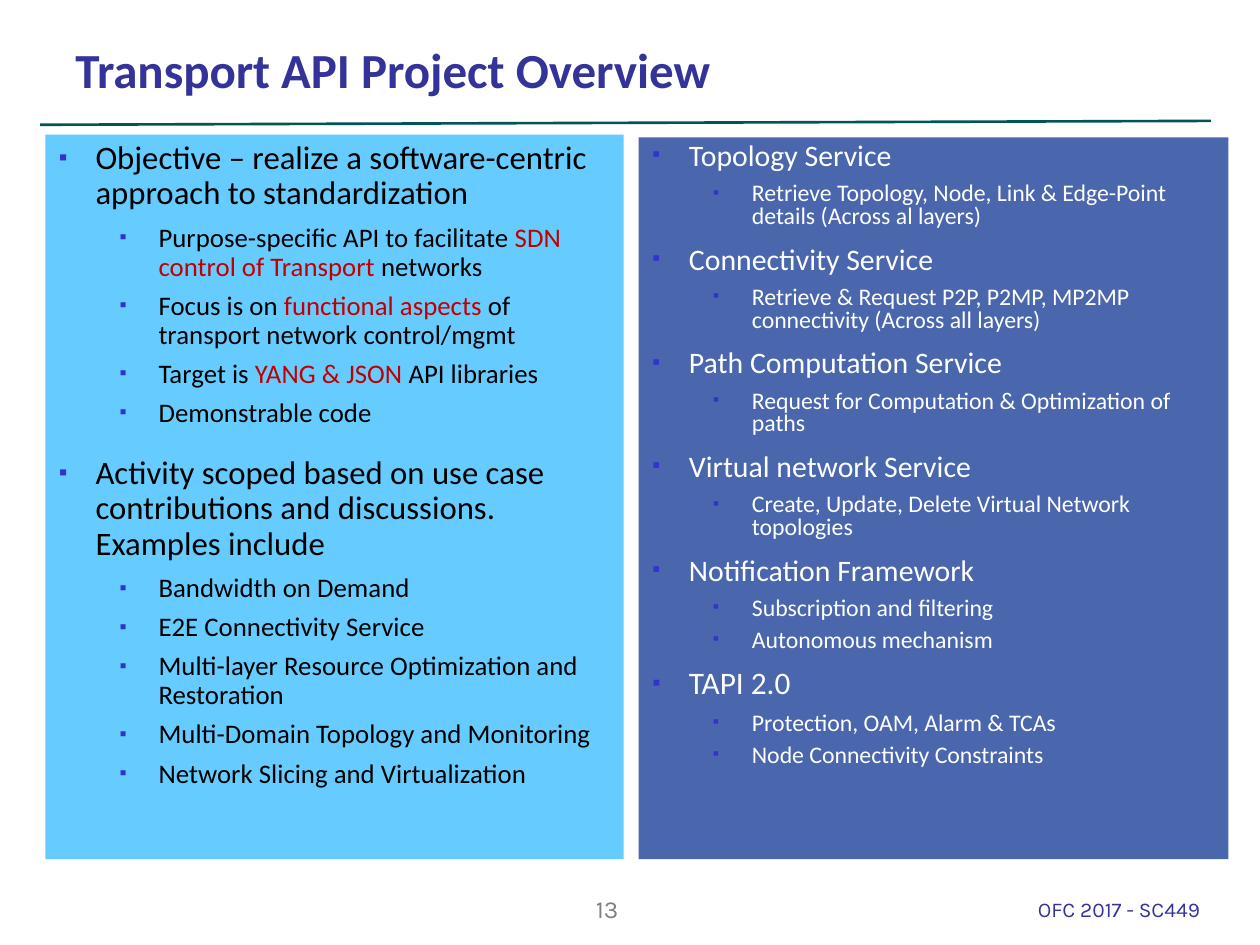
from lxml.etree import SubElement
from pptx import Presentation
from pptx.dml.color import RGBColor
from pptx.enum.shapes import MSO_CONNECTOR, MSO_SHAPE
from pptx.enum.text import MSO_ANCHOR, PP_ALIGN
from pptx.oxml.ns import qn
from pptx.util import Pt

NAVY, RED, BLACK, WHITE = "333399", "C00000", "000000", "FFFFFF"

# Each topic: heading, heading size, items. An item is text or (text, colour) runs.
OBJECTIVES = [
    ("Objective – realize a software-centric approach to standardization", 18.7, [
        [("Purpose-specific API to facilitate ", BLACK),
         ("SDN control of Transport ", RED), ("networks", BLACK)],
        [("Focus is on ", BLACK), ("functional aspects ", RED),
         ("of transport network control/mgmt", BLACK)],
        [("Target is ", BLACK), ("YANG & JSON ", RED), ("API libraries", BLACK)],
        "Demonstrable code",
    ]),
    ("Activity scoped based on use case contributions and discussions. Examples include", 18.7, [
        "Bandwidth on Demand",
        "E2E Connectivity Service",
        "Multi-layer Resource Optimization and Restoration",
        "Multi-Domain Topology and Monitoring",
        "Network Slicing and Virtualization",
    ]),
]
SERVICES = [
    ("Topology Service", 17, [
        "Retrieve Topology, Node, Link & Edge-Point details (Across al layers)"]),
    ("Connectivity Service", 17, [
        "Retrieve & Request P2P, P2MP, MP2MP connectivity (Across all layers)"]),
    ("Path Computation Service", 17, [
        "Request for Computation & Optimization of paths"]),
    ("Virtual network Service", 17, [
        "Create, Update, Delete Virtual Network topologies"]),
    ("Notification Framework", 17, [
        "Subscription and filtering", "Autonomous mechanism"]),
    ("TAPI 2.0", 17.9, [
        "Protection, OAM, Alarm & TCAs", "Node Connectivity Constraints"]),
]


def colour(value):
    return RGBColor.from_string(value)


def write(paragraph, text, *, size, color, font="Calibri", bold=False):
    run = paragraph.add_run()
    run.text = text
    run.font.name = font
    run.font.size = Pt(size)
    run.font.bold = bold
    run.font.color.rgb = colour(color)


def add_bullet(paragraph, level):
    """Give the paragraph a small square bullet and the indent of its level."""
    paragraph.level = level
    margin, indent = [(21.6, -20.9), (57.6, -22.3)][level]
    properties = paragraph._p.get_or_add_pPr()
    properties.set("marL", str(Pt(margin)))
    properties.set("indent", str(Pt(indent)))
    bullet_colour = SubElement(properties, qn("a:buClr"))
    SubElement(bullet_colour, qn("a:srgbClr"), val="3333CC")
    SubElement(properties, qn("a:buSzPct"), val="75000")
    SubElement(properties, qn("a:buFont"), typeface="Arial")
    SubElement(properties, qn("a:buChar"), char="▪")


class SlideBuilder:
    def __init__(self, presentation):
        self.slide = presentation.slides.add_slide(presentation.slide_layouts[6])

    def rule(self, start, end, color, width):
        points = [Pt(value) for value in (*start, *end)]
        line = self.slide.shapes.add_connector(MSO_CONNECTOR.STRAIGHT, *points)
        line.line.color.rgb = colour(color)
        line.line.width = Pt(width)
        SubElement(line._element.spPr, qn("a:effectLst"))

    def label(self, box, text, *, align=PP_ALIGN.LEFT, anchor=MSO_ANCHOR.TOP, **style):
        shape = self.slide.shapes.add_textbox(*map(Pt, box))
        frame = shape.text_frame
        frame.word_wrap = True
        frame.vertical_anchor = anchor
        paragraph = frame.paragraphs[0]
        paragraph.alignment = align
        write(paragraph, text, **style)

    def panel(self, box, topics, *, fill, color, item_size, line_spacing, topic_gap):
        shape = self.slide.shapes.add_shape(MSO_SHAPE.RECTANGLE, *map(Pt, box))
        shape.shadow.inherit = False
        shape.fill.solid()
        shape.fill.fore_color.rgb = colour(fill)
        shape.line.fill.background()
        frame = shape.text_frame
        frame.word_wrap = True
        frame.vertical_anchor = MSO_ANCHOR.TOP

        rows = []
        for heading, size, items in topics:
            rows.append((0, size, heading))
            rows.extend((1, item_size, item) for item in items)
        for index, (level, size, content) in enumerate(rows):
            paragraph = frame.add_paragraph() if index else frame.paragraphs[0]
            add_bullet(paragraph, level)
            paragraph.alignment = PP_ALIGN.LEFT
            paragraph.line_spacing = line_spacing
            paragraph.space_before = Pt(topic_gap if index and level == 0 else 0)
            paragraph.space_after = Pt(round(size * 0.38, 1))
            runs = [(content, color)] if isinstance(content, str) else content
            for text, run_color in runs:
                write(paragraph, text, size=size, color=run_color)


def main():
    presentation = Presentation()
    presentation.slide_width, presentation.slide_height = Pt(720), Pt(540)
    builder = SlideBuilder(presentation)

    builder.rule((23, 71.3), (692, 69.1), "005557", 1.5)
    builder.label((36, 20.2, 648, 39.6), "Transport API Project Overview",
                  anchor=MSO_ANCHOR.BOTTOM, size=28, color=NAVY, bold=True)
    builder.panel((25.9, 77, 330.5, 414), OBJECTIVES, fill="66CCFF", color=BLACK,
                  item_size=15.3, line_spacing=0.9, topic_gap=10.2)
    builder.panel((365, 78.5, 337, 412.5), SERVICES, fill="4A66AC", color=WHITE,
                  item_size=13.6, line_spacing=0.8, topic_gap=5.1)
    builder.label((312.5, 507.6, 69, 28.8), "13", align=PP_ALIGN.CENTER,
                  size=14, color="808080", font="Karla")
    builder.label((586, 509, 129.6, 20.2), "OFC 2017 - SC449",
                  size=12, color=NAVY, font="Karla")

    presentation.save("out.pptx")


if __name__ == "__main__":
    main()
